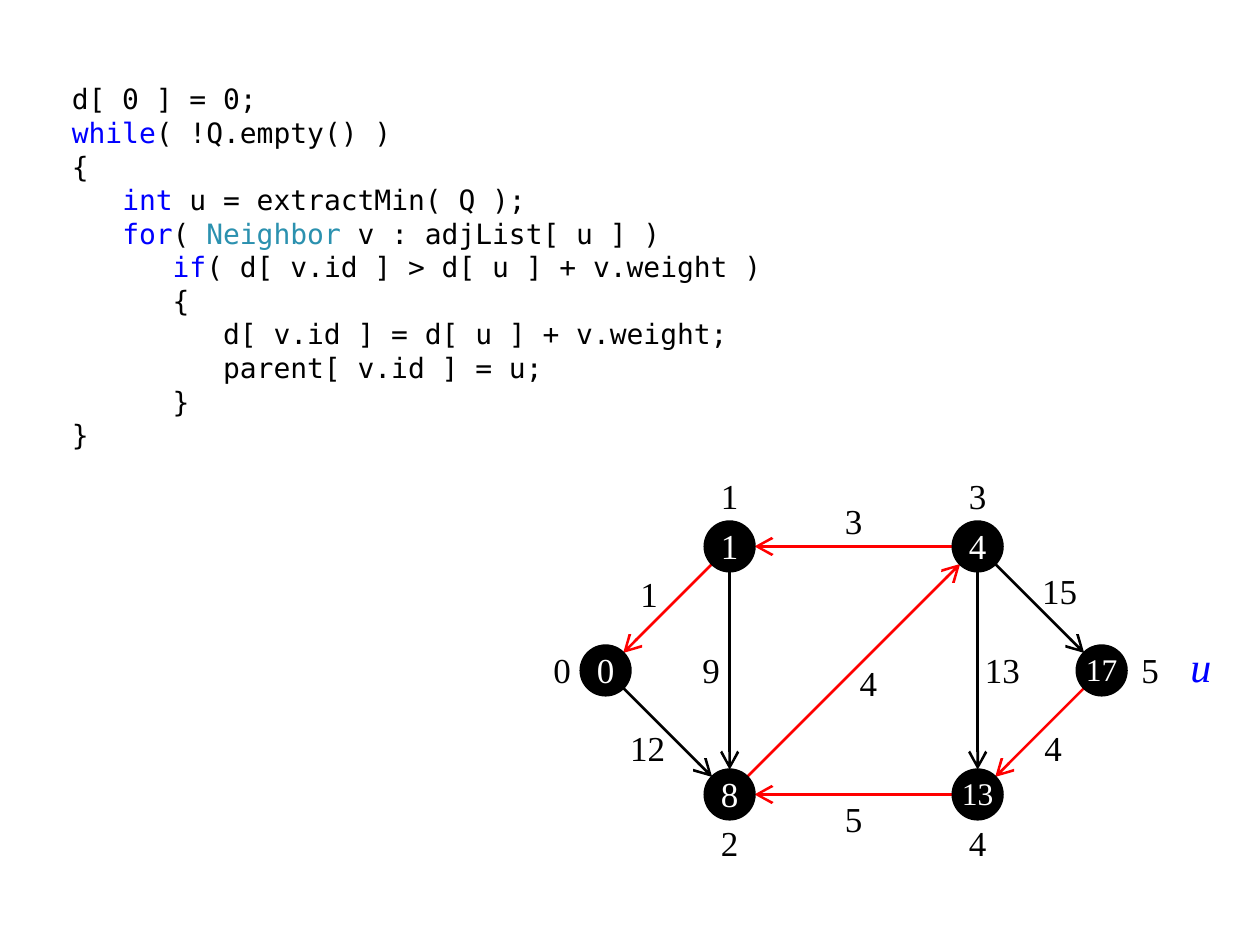
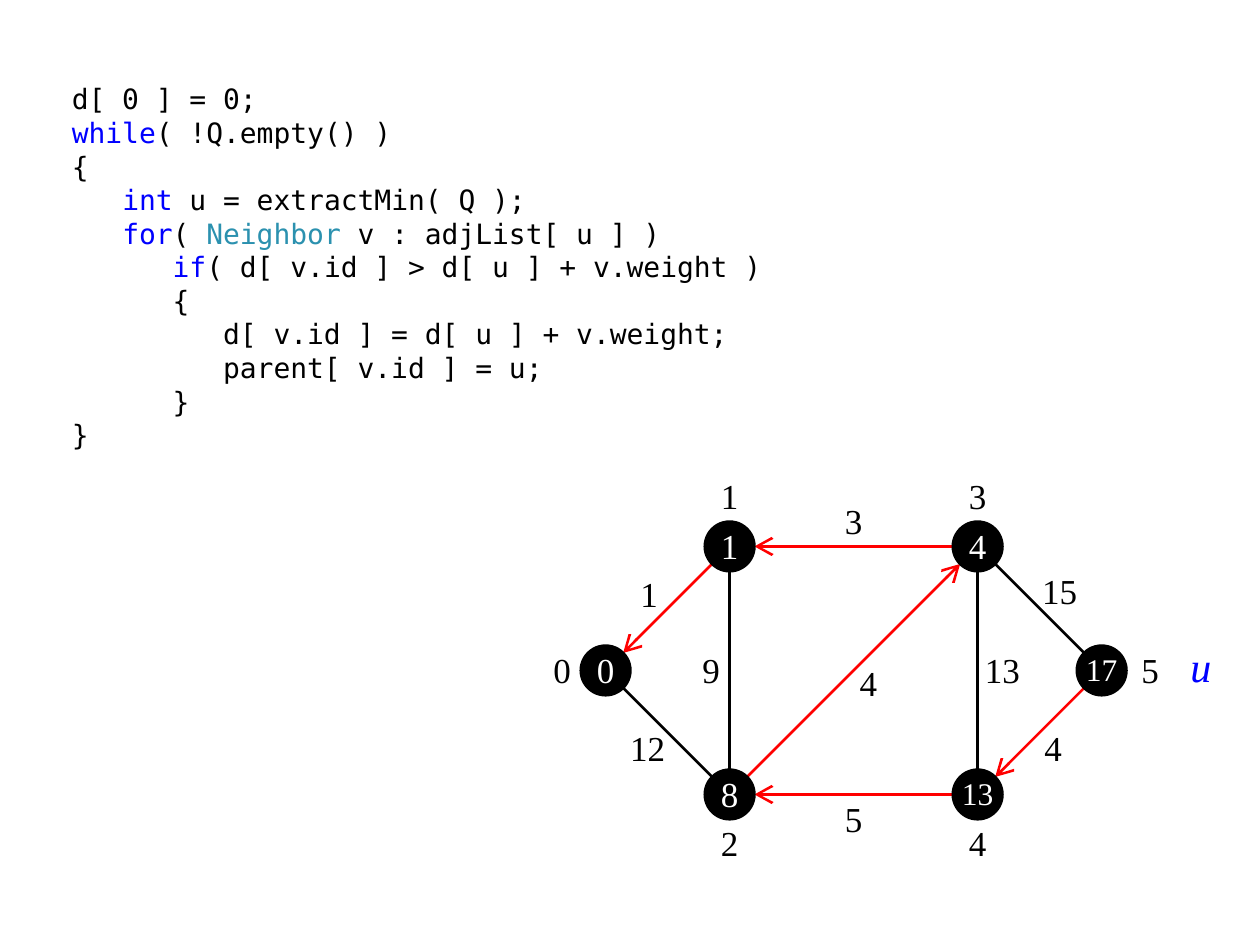
"""Build two slides that show shortest-path code above a weighted graph."""
from math import hypot

from lxml import etree
from pptx import Presentation
from pptx.dml.color import RGBColor
from pptx.enum.shapes import MSO_CONNECTOR, MSO_SHAPE
from pptx.enum.text import MSO_ANCHOR, MSO_AUTO_SIZE, PP_ALIGN
from pptx.oxml.ns import qn
from pptx.util import Inches, Pt

STRAIGHT = MSO_CONNECTOR.STRAIGHT
OVAL = MSO_SHAPE.OVAL
RECTANGLE = MSO_SHAPE.RECTANGLE
MIDDLE = MSO_ANCHOR.MIDDLE
CENTER = PP_ALIGN.CENTER
NO_AUTOFIT = MSO_AUTO_SIZE.NONE

BLACK = RGBColor(0x00, 0x00, 0x00)
WHITE = RGBColor(0xFF, 0xFF, 0xFF)
RED = RGBColor(0xFF, 0x00, 0x00)
BLUE = RGBColor(0x00, 0x00, 0xFF)
TEAL = RGBColor(0x2B, 0x91, 0xAF)

CODE_FONT = "DejaVu Sans Mono"
GRAPH_FONT = "Times New Roman"
LINE_WIDTH = Pt(1.5)

GRAPH_LEFT, GRAPH_TOP = 4.61, 4.14
UNIT = 1 / 2.54
LABEL_INSETS = (0.1, 0.04, 0.1, 0.06)
NODE_INSETS = (0.1, 0, 0.1, 0.02)

TOKEN_COLORS = {"while": BLUE, "int": BLUE, "for": BLUE, "if": BLUE, "Neighbor": TEAL}
CODE = [
    ["d[ 0 ] = 0;"],
    ["while", "( !Q.empty() )"],
    ["{"],
    ["   ", "int", " u = extractMin( Q );"],
    ["   ", "for", "( ", "Neighbor", " v : adjList[ u ] )"],
    ["      ", "if", "( d[ v.id ] > d[ u ] + v.weight )"],
    ["      {"],
    ["         d[ v.id ] = d[ u ] + v.weight;"],
    ["         parent[ v.id ] = u;"],
    ["      }"],
    ["}"],
]

# Columns and rows below count graph units from the top left node cell.
NODES = {
    0: ("0", 0, 2.5),
    1: ("1", 2.5, 0),
    2: ("8", 2.5, 5),
    3: ("4", 7.5, 0),
    4: ("13", 7.5, 5),
    5: ("17", 10, 2.5),
}
TREE_EDGES = [(2, 3), (5, 4), (4, 2), (1, 0), (3, 1)]
OTHER_EDGES = [(0, 2), (1, 2), (3, 5), (3, 4)]
NODE_IDS = [
    ("0", -1, 2.5, (0.1, 0.04, 0, 0.06)),
    ("1", 2.5, -1, LABEL_INSETS),
    ("2", 2.5, 6, LABEL_INSETS),
    ("3", 7.5, -1, LABEL_INSETS),
    ("4", 7.5, 6, LABEL_INSETS),
    ("5", 11, 2.5, (0.08, 0.04, 0.1, 0.06)),
]
WEIGHTS = [
    ("1", 1, 1, (0, 0, 0.1, 0.04)),
    ("3", 5, -0.5, LABEL_INSETS),
    ("5", 5, 5.5, LABEL_INSETS),
    ("9", 2, 2.5, (0.1, 0.04, 0, 0.06)),
    ("13", 8, 2.5, LABEL_INSETS),
    ("4", 5.5, 3, (0, 0, 0.16, 0.2)),
    ("4", 9, 4, (0.1, 0.04, 0.08, 0)),
    ("15", 9, 1, (0.12, 0, 0, 0.08)),
    ("12", 1, 4, (0, 0.04, 0.12, 0)),
]


def cell_frame(column, row):
    """Return the left, top, width and height of a graph cell."""
    return (Inches(GRAPH_LEFT + column * UNIT), Inches(GRAPH_TOP + row * UNIT),
            Inches(UNIT), Inches(UNIT))


def add_cell(page, shape_type, text, column, row, insets, size, color):
    """Add a shape with one centred, unwrapped line in a graph cell."""
    cell = page.shapes.add_shape(shape_type, *cell_frame(column, row))
    cell.shadow.inherit = False
    frame = cell.text_frame
    frame.word_wrap = False
    frame.vertical_anchor = MIDDLE
    (frame.margin_left, frame.margin_top,
     frame.margin_right, frame.margin_bottom) = map(Inches, insets)
    frame.text = text
    para = frame.paragraphs[0]
    para.alignment = CENTER
    font = para.runs[0].font
    font.name = GRAPH_FONT
    font.size = Pt(size)
    font.color.rgb = color
    return cell


def add_label(page, text, column, row, insets, size=20, color=BLACK):
    """Add a text label without fill or outline."""
    label = add_cell(page, RECTANGLE, text, column, row, insets, size, color)
    label.fill.background()
    label.line.fill.background()
    return label


def add_node(page, text, column, row):
    """Add a black node that shows its distance."""
    size = 20 if len(text) == 1 else 18
    node = add_cell(page, OVAL, text, column, row, NODE_INSETS, size, WHITE)
    node.fill.solid()
    node.fill.fore_color.rgb = BLACK
    node.line.color.rgb = BLACK
    node.line.width = LINE_WIDTH


def add_edge(page, start, end, color, arrow):
    """Join the rims of two nodes with a line along their centres."""
    (_, x1, y1), (_, x2, y2) = NODES[start], NODES[end]
    length = hypot(x2 - x1, y2 - y1)
    dx, dy = (x2 - x1) / length / 2, (y2 - y1) / length / 2
    begin = cell_frame(x1 + dx + 0.5, y1 + dy + 0.5)[:2]
    finish = cell_frame(x2 - dx + 0.5, y2 - dy + 0.5)[:2]
    edge = page.shapes.add_connector(STRAIGHT, *begin, *finish)
    edge.line.color.rgb = color
    edge.line.width = LINE_WIDTH
    if arrow:
        etree.SubElement(edge.line._get_or_add_ln(), qn("a:tailEnd"),
                         type="arrow", w="lg", len="lg")
    etree.SubElement(edge._element.spPr, qn("a:effectLst"))


def add_code(page):
    """Fill the body placeholder with coloured code."""
    body = page.placeholders[1]
    body.left, body.top = Inches(0.47), Inches(0.6)
    body.width, body.height = Inches(7.48), Inches(3.15)
    frame = body.text_frame
    frame.auto_size = NO_AUTOFIT
    for index, tokens in enumerate(CODE):
        para = frame.add_paragraph() if index else frame.paragraphs[0]
        properties = para._p.get_or_add_pPr()
        properties.set("marL", str(Inches(0.38)))
        properties.set("indent", str(-Inches(0.38)))
        etree.SubElement(properties, qn("a:buNone"))
        para.space_before = Pt(0)
        para.line_spacing = Pt(19.2)
        for token in tokens:
            span = para.add_run()
            span.text = token
            span.font.name = CODE_FONT
            span.font.size = Pt(16)
            span.font.color.rgb = TOKEN_COLORS.get(token, BLACK)


def add_graph(page, all_arrows):
    """Draw the graph, with arrows on every edge or on tree edges only."""
    for start, end in TREE_EDGES:
        add_edge(page, start, end, RED, True)
    for start, end in OTHER_EDGES:
        add_edge(page, start, end, BLACK, all_arrows)
    for node in NODES.values():
        add_node(page, *node)
    for label in NODE_IDS + WEIGHTS:
        add_label(page, *label)
    current = add_label(page, "u", 12, 2.5, (0.1, 0, 0.1, 0.08), 24, BLUE)
    current.text_frame.paragraphs[0].runs[0].font.italic = True


def main():
    """Build and save the deck."""
    deck = Presentation()
    deck.slide_width, deck.slide_height = Inches(10), Inches(7.5)
    for all_arrows in (True, False):
        page = deck.slides.add_slide(deck.slide_layouts[1])
        title = page.shapes.title._element
        title.getparent().remove(title)
        add_code(page)
        add_graph(page, all_arrows)
    deck.save("out.pptx")


if __name__ == "__main__":
    main()
